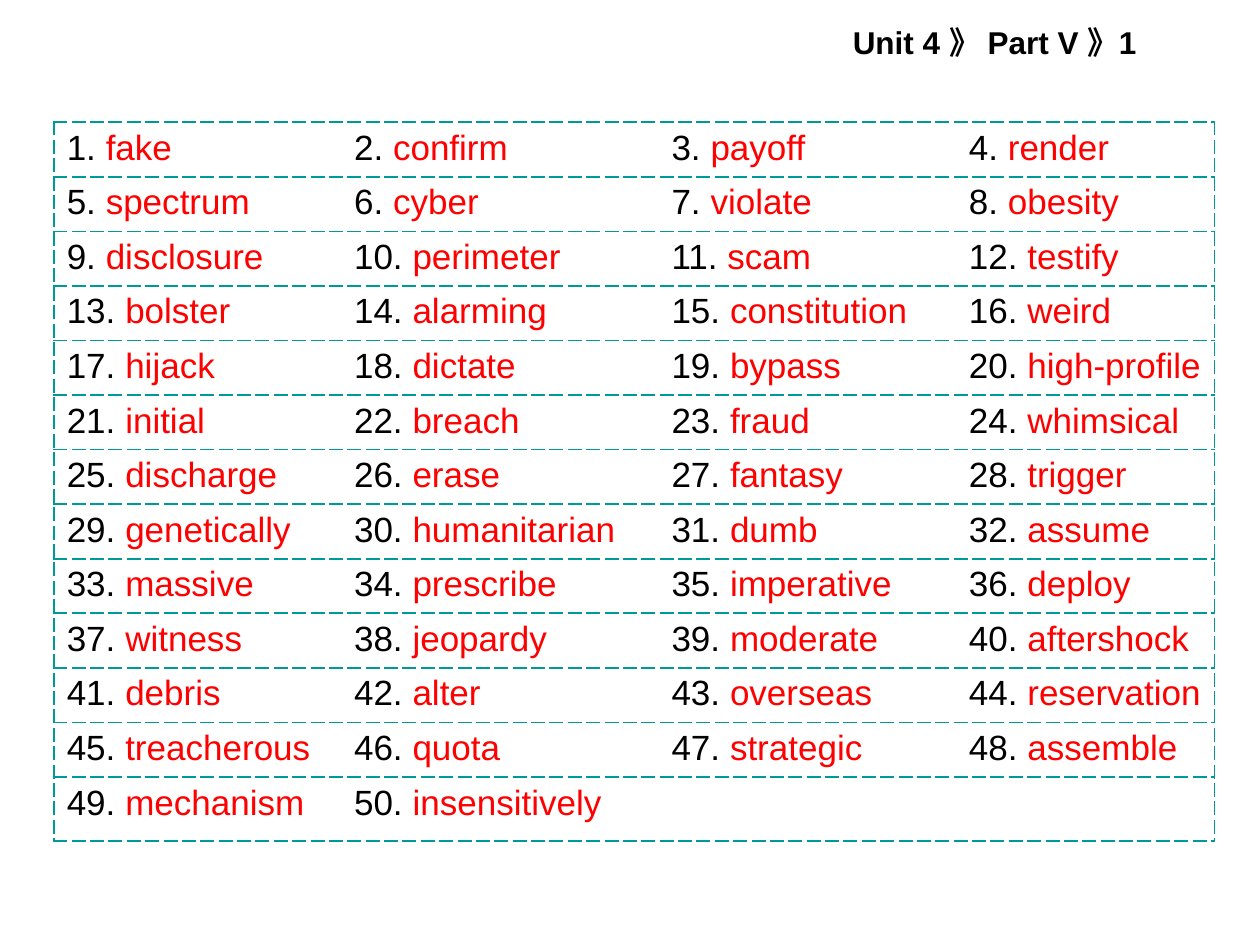
from lxml.etree import SubElement
from pptx import Presentation
from pptx.dml.color import RGBColor
from pptx.enum.text import MSO_AUTO_SIZE as AutoSize
from pptx.oxml.ns import qn
from pptx.util import Inches, Pt

COLORS = {"number": "000000", "word": "FF0000", "border": "009999"}
FONT = "Arial"
WORDS = """
fake confirm payoff render
spectrum cyber violate obesity
disclosure perimeter scam testify
bolster alarming constitution weird
hijack dictate bypass high-profile
initial breach fraud whimsical
discharge erase fantasy trigger
genetically humanitarian dumb assume
massive prescribe imperative deploy
witness jeopardy moderate aftershock
debris alter overseas reservation
treacherous quota strategic assemble
mechanism insensitively
""".split()
COLUMN_WIDTHS = [2.28, 2.52, 2.36, 2.05]
COLUMN_COUNT = len(COLUMN_WIDTHS)
ROW_COUNT = -(-len(WORDS) // COLUMN_COUNT)
TABLE_HEIGHT = 5.63
LAST_ROW_HEIGHT = 0.51


def style_font(font, size, color, bold=False):
    font.name = FONT
    font.size = Pt(size)
    font.bold = bold
    font.color.rgb = RGBColor.from_string(COLORS[color])


def add_border(cell, side, visible):
    line = SubElement(cell._tc.get_or_add_tcPr(), qn(f"a:ln{side}"))
    if not visible:
        SubElement(line, qn("a:noFill"))
        return
    line.set("w", str(Pt(1.08)))
    fill = SubElement(line, qn("a:solidFill"))
    SubElement(fill, qn("a:srgbClr"), val=COLORS["border"])
    SubElement(line, qn("a:prstDash"), val="dash")


deck = Presentation()
deck.slide_width, deck.slide_height = Inches(10), Inches(7.5)
page = deck.slides.add_slide(deck.slide_layouts[6])

# Word table
table = page.shapes.add_table(
    ROW_COUNT, COLUMN_COUNT, Inches(0.43), Inches(0.97),
    Inches(sum(COLUMN_WIDTHS)), Inches(TABLE_HEIGHT)).table
table.first_row = False
table.horz_banding = False
for column, width in zip(table.columns, COLUMN_WIDTHS):
    column.width = Inches(width)
for row in table.rows:
    row.height = Inches(TABLE_HEIGHT / ROW_COUNT)
table.rows[ROW_COUNT - 1].height = Inches(LAST_ROW_HEIGHT)

# Dashed lines between rows and around the table
for index, cell in enumerate(table.iter_cells()):
    column_index = index % COLUMN_COUNT
    add_border(cell, "L", column_index == 0)
    add_border(cell, "R", column_index == COLUMN_COUNT - 1)
    add_border(cell, "T", True)
    add_border(cell, "B", True)
    cell.fill.background()

# Numbered words
for number, (cell, word) in enumerate(zip(table.iter_cells(), WORDS), start=1):
    para = cell.text_frame.paragraphs[0]
    for text, color in ((f"{number}. ", "number"), (word, "word")):
        span = para.add_run()
        span.text = text
        style_font(span.font, 20, color)

# Unit heading
box = page.shapes.add_textbox(Inches(6.67), Inches(0.13), Inches(2.7), Inches(0.4))
box.text_frame.word_wrap = False
box.text_frame.auto_size = AutoSize.SHAPE_TO_FIT_TEXT
box.text_frame.text = "Unit 4 》 Part V 》1"
style_font(box.text_frame.paragraphs[0].runs[0].font, 18, "number", bold=True)

deck.save("out.pptx")
